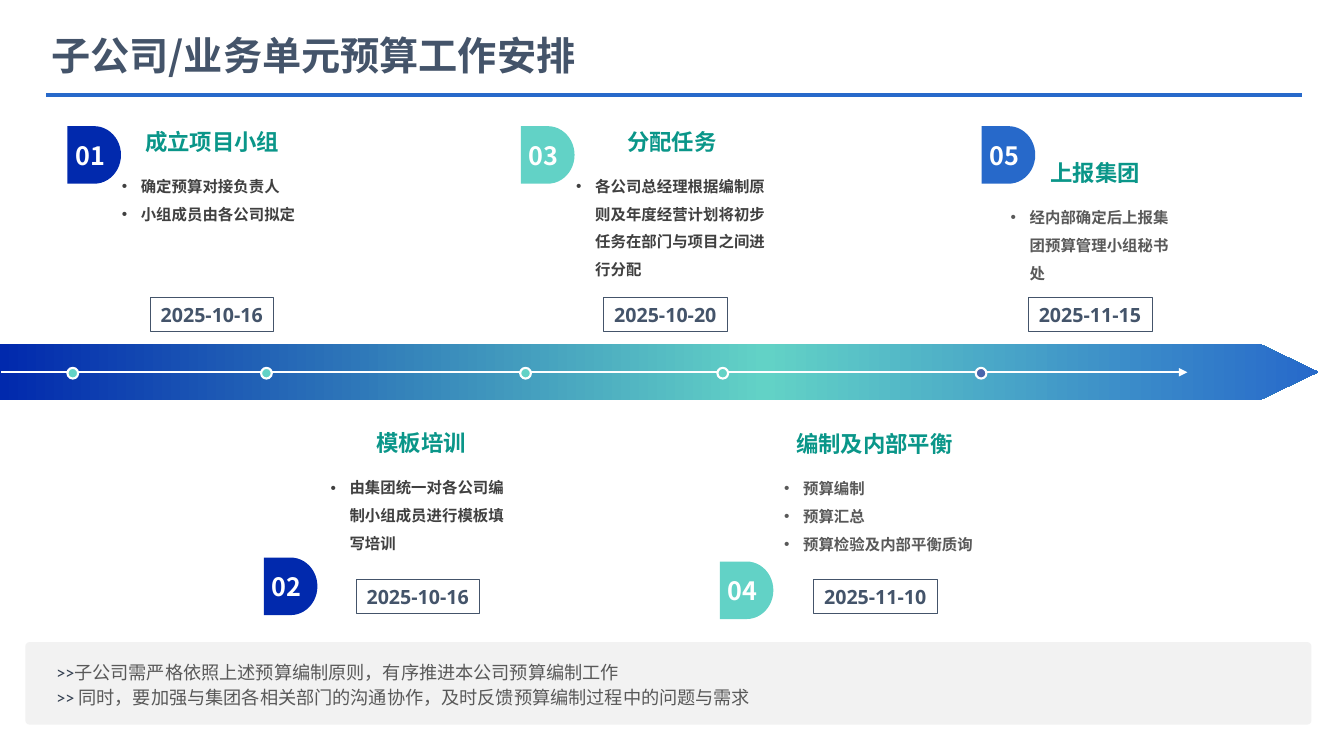
"""Build the budget timeline slide for subsidiaries and business units."""
from copy import deepcopy
from dataclasses import dataclass
from typing import Any

from lxml.etree import SubElement
from pptx import Presentation
from pptx.dml.color import RGBColor
from pptx.enum.shapes import MSO_CONNECTOR as Connector, MSO_SHAPE as Preset
from pptx.enum.text import MSO_ANCHOR as Anchor, PP_ALIGN as Align
from pptx.oxml.ns import qn
from pptx.util import Cm, Pt

NAVY = RGBColor(0x01, 0x29, 0xAD)
MINT = RGBColor(0x62, 0xD2, 0xC6)
BLUE = RGBColor(0x27, 0x69, 0xCA)
INDIGO = RGBColor(0x4A, 0x66, 0xAC)
TEAL = RGBColor(0x0A, 0x96, 0x89)
SLATE = RGBColor(0x44, 0x54, 0x6A)
DARK_SLATE = RGBColor(0x33, 0x3F, 0x50)
DARK = RGBColor(0x40, 0x40, 0x40)
GREY = RGBColor(0x59, 0x59, 0x59)
PALE = RGBColor(0xF2, 0xF2, 0xF2)
WHITE = RGBColor(0xFF, 0xFF, 0xFF)

CJK = "Noto Sans CJK SC"
TITLE_FONT = {"name": CJK, "size": Pt(28), "bold": True}
HEADING_FONT = {"name": CJK, "size": Pt(16), "bold": True}
DUTY_FONT = {"name": CJK, "size": Pt(11), "bold": True}
BADGE_FONT = {"name": CJK, "size": Pt(18), "bold": True}
DATE_FONT = {"name": "Open Sans", "size": Pt(14), "bold": True}
MARK_FONT = {"name": "Calibri", "size": Pt(13), "bold": False}
REMINDER_FONT = {"name": "Inter", "size": Pt(13), "bold": False}
NO_INSETS = dict.fromkeys(("margin_left", "margin_top", "margin_right", "margin_bottom"), 0)

BAND_TOP = 8.66
DATE_ABOVE, DATE_BELOW = 7.49, 14.61


@dataclass(frozen=True)
class Box:
    left: float
    top: float
    width: float
    height: float

    def lengths(self) -> tuple[Cm, Cm, Cm, Cm]:
        return Cm(self.left), Cm(self.top), Cm(self.width), Cm(self.height)


@dataclass(frozen=True)
class Step:
    heading: str
    duties: tuple[str, ...]
    date: str
    heading_box: Box
    duties_left: float
    duties_width: float
    date_left: float
    badge_left: float
    badge_top: float
    dot_left: float
    color: RGBColor
    dot_color: RGBColor = MINT
    duty_color: RGBColor = DARK


STEPS = (
    Step("成立项目小组", ("确定预算对接负责人", "小组成员由各公司拟定"), "2025-10-16",
         Box(3.38, 3.1, 3.94, 0.94), 2.82, 5.89, 3.78, 1.7, 3.18, 1.7, NAVY),
    Step("模板培训", ("由集团统一对各公司编制小组成员进行模板填写培训",), "2025-10-16",
         Box(9.22, 10.7, 2.79, 0.94), 8.08, 5.05, 8.97, 6.65, 14.05, 6.58, NAVY),
    Step("分配任务", ("各公司总经理根据编制原则及年度经营计划将初步任务在部门与项目之间进行分配",),
         "2025-10-20", Box(15.54, 3.1, 2.79, 0.94), 14.27, 5.41, 15.21, 13.13, 3.18, 13.11, MINT),
    Step("编制及内部平衡", ("预算编制", "预算汇总", "预算检验及内部平衡质询"), "2025-11-10",
         Box(19.79, 10.72, 4.5, 0.94), 19.51, 5.89, 20.5, 18.14, 14.15, 18.08, MINT,
         duty_color=GREY),
    Step("上报集团", ("经内部确定后上报集团预算管理小组秘书处",), "2025-11-15",
         Box(26.21, 3.89, 2.79, 0.94), 25.22, 4.55, 25.91, 24.74, 3.18, 24.59, BLUE,
         dot_color=INDIGO, duty_color=GREY),
)
REMINDERS = (
    (">>", "子公司需严格依照上述预算编制原则，有序推进本公司预算编制工作"),
    (">> ", "同时，要加强与集团各相关部门的沟通协作，及时反馈预算编制过程中的问题与需求"),
)


def apply(target: Any, values: dict[str, Any]) -> None:
    for name, value in values.items():
        setattr(target, name, value)


def write(paragraph: Any, words: str, font: dict[str, Any], color: RGBColor) -> None:
    run = paragraph.add_run()
    run.text = words
    apply(run.font, font)
    run.font.color.rgb = color
    SubElement(run.font._element, qn("a:ea"), typeface=font["name"])


def paragraphs(frame: Any, count: int) -> list[Any]:
    return [frame.paragraphs[0], *(frame.add_paragraph() for _ in range(count - 1))]


def text_box(slide: Any, box: Box, wrap: bool = True) -> Any:
    frame = slide.shapes.add_textbox(*box.lengths()).text_frame
    frame.word_wrap = wrap
    return frame


def shape(slide: Any, preset: Preset, box: Box, fill: RGBColor | None = None,
          outline: RGBColor | None = None, weight: float = 1.5) -> Any:
    drawn = slide.shapes.add_shape(preset, *box.lengths())
    drawn.shadow.inherit = False
    if fill is None:
        drawn.fill.background()
    else:
        drawn.fill.solid()
        drawn.fill.fore_color.rgb = fill
    if outline is None:
        drawn.line.fill.background()
    else:
        drawn.line.color.rgb = outline
        drawn.line.width = Pt(weight)
    return drawn


def label(drawn: Any, words: str, font: dict[str, Any], color: RGBColor) -> None:
    frame = drawn.text_frame
    apply(frame, {"word_wrap": False, "vertical_anchor": Anchor.MIDDLE})
    frame.paragraphs[0].alignment = Align.CENTER
    write(frame.paragraphs[0], words, font, color)


def rule(slide: Any, left: float, right: float, top: float, color: RGBColor, weight: float) -> Any:
    line = slide.shapes.add_connector(Connector.STRAIGHT, Cm(left), Cm(top), Cm(right), Cm(top))
    line.line.color.rgb = color
    line.line.width = Pt(weight)
    SubElement(line._element.spPr, qn("a:effectLst"))
    return line


def draw_title(slide: Any) -> None:
    title = slide.shapes.title
    apply(title, dict(zip(("left", "top", "width", "height"), Box(1.04, 0.79, 15.52, 1.35).lengths())))
    apply(title.text_frame, {"word_wrap": True, "vertical_anchor": Anchor.TOP})
    heading = title.text_frame.paragraphs[0]
    apply(heading, {"alignment": Align.LEFT, "line_spacing": 0.9})
    write(heading, "子公司/业务单元预算工作安排", TITLE_FONT, SLATE)
    rule(slide, 1.17, 32.82, 2.4, BLUE, 3)


def draw_band(slide: Any) -> None:
    band = shape(slide, Preset.PENTAGON, Box(0, BAND_TOP, 33.22, 1.43))
    band.adjustments[0] = 1.04
    band.fill.gradient()
    band.fill.gradient_angle = 0
    stop_list = band._element.spPr.find(qn("a:gradFill")).find(qn("a:gsLst"))
    stop_list.append(deepcopy(stop_list[0]))
    for stop, position, color in zip(band.fill.gradient_stops, (0, 0.58, 1), (NAVY, MINT, BLUE)):
        stop.position = position
        stop.color.rgb = color
    axis = rule(slide, 0.03, 29.92, 9.38, WHITE, 1.5)
    SubElement(axis.line._get_or_add_ln(), qn("a:tailEnd"), type="triangle")


def draw_step(slide: Any, number: int, step: Step) -> None:
    heading = text_box(slide, step.heading_box, wrap=False).paragraphs[0]
    heading.alignment = Align.CENTER
    write(heading, step.heading, HEADING_FONT, TEAL)

    duties_box = Box(step.duties_left, step.heading_box.top + 1, step.duties_width,
                     0.86 + 0.71 * len(step.duties))
    duties = paragraphs(text_box(slide, duties_box), len(step.duties))
    for duty, words in zip(duties, step.duties):
        duty.line_spacing = 1.5
        properties = duty._p.get_or_add_pPr()
        properties.set("marL", str(Cm(0.48)))
        properties.set("indent", str(-Cm(0.48)))
        SubElement(properties, qn("a:buFont"), typeface="Arial")
        SubElement(properties, qn("a:buChar"), char="•")
        write(duty, words, DUTY_FONT, step.duty_color)

    date_top = DATE_ABOVE if step.heading_box.top < BAND_TOP else DATE_BELOW
    date = shape(slide, Preset.RECTANGLE, Box(step.date_left, date_top, 3.12, 0.86),
                 outline=SLATE, weight=0.5)
    label(date, step.date, DATE_FONT, SLATE)
    badge = shape(slide, Preset.FLOWCHART_DELAY, Box(step.badge_left, step.badge_top, 1.35, 1.45),
                  step.color)
    apply(badge.text_frame, NO_INSETS)
    label(badge, f"{number:02}", BADGE_FONT, WHITE)
    shape(slide, Preset.OVAL, Box(step.dot_left, 9.27, 0.27, 0.27), step.dot_color, WHITE)


def draw_reminders(slide: Any) -> None:
    panel = shape(slide, Preset.ROUNDED_RECTANGLE, Box(0.64, 16.18, 32.41, 2.08), PALE)
    panel.adjustments[0] = 0.05
    lines = paragraphs(text_box(slide, Box(1.17, 16.46, 30.73, 1.5)), len(REMINDERS))
    for line, (mark, words) in zip(lines, REMINDERS):
        line.line_spacing = Pt(18)
        write(line, mark, MARK_FONT, DARK_SLATE)
        write(line, words, REMINDER_FONT, GREY)


def main() -> None:
    deck = Presentation()
    apply(deck, {"slide_width": Cm(33.87), "slide_height": Cm(19.05)})
    slide = deck.slides.add_slide(deck.slide_layouts.get_by_name("Title Only"))
    draw_title(slide)
    draw_band(slide)
    for number, step in enumerate(STEPS, 1):
        draw_step(slide, number, step)
    draw_reminders(slide)
    deck.save("out.pptx")


if __name__ == "__main__":
    main()
